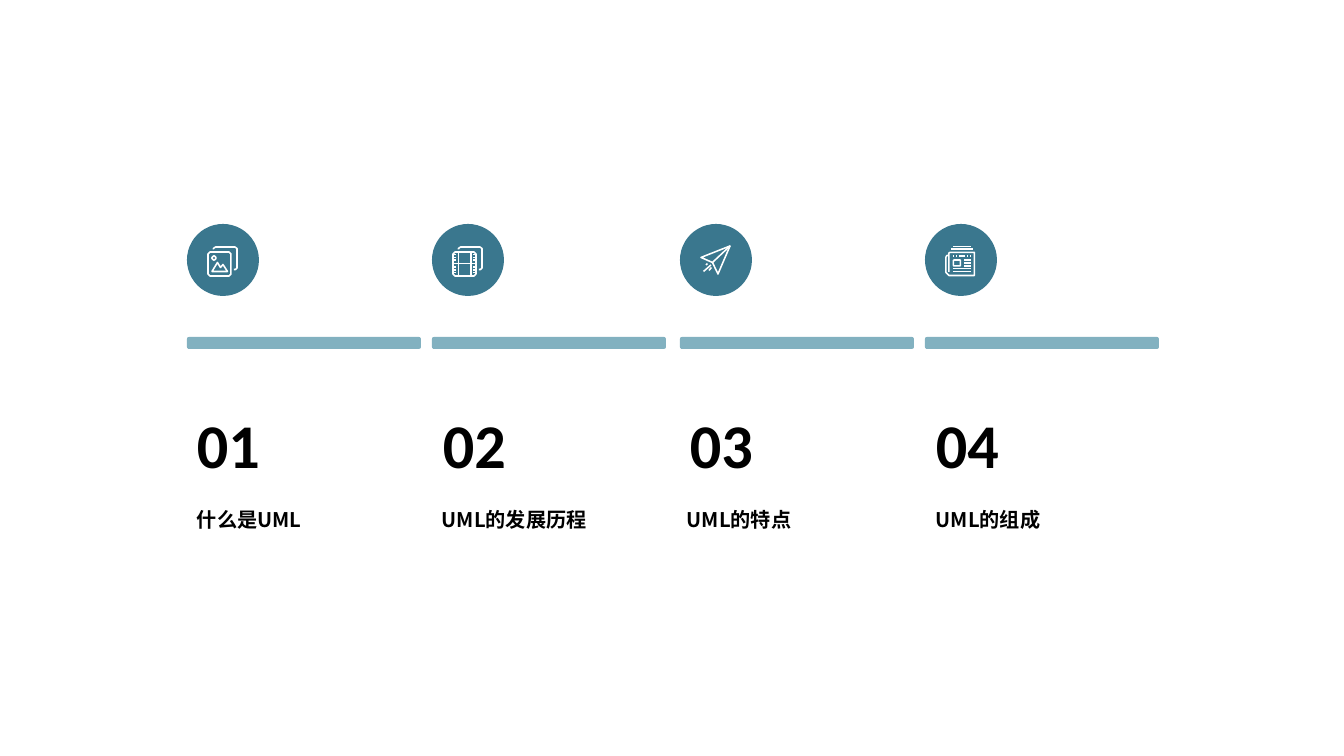
from lxml import etree
from pptx import Presentation
from pptx import util as u
from pptx.dml.color import RGBColor
from pptx.enum import shapes, text
from pptx.oxml import ns

PX = 914400 / 100.8
TEAL, PALE, WHITE, BLACK = "3A778E", "82B1C0", "FFFFFF", "000000"


def rgb(value):
    return RGBColor.from_string(value)


def rounded(left, top, right, bottom, cut):
    """Closed outline of a box with trimmed corners."""
    return [(left + cut, top), (right - cut, top), (right, top + cut),
            (right, bottom - cut), (right - cut, bottom), (left + cut, bottom),
            (left, bottom - cut), (left, top + cut), (left + cut, top)]


deck = Presentation()
deck.slide_width, deck.slide_height = u.Emu(round(1344 * PX)), u.Emu(round(756 * PX))
page = deck.slides.add_slide(deck.slide_layouts[6])

# Icon strokes, on a grid of half pixels
cards_behind = [
    [(13, 7), (13, 5), (17, 2), (56, 2), (60, 5), (60, 44), (57, 47), (54, 47)],
    rounded(2, 12, 48, 60, 4),
]
photo = cards_behind + [
    [(10, 51), (21, 33), (27, 43), (32, 37), (41, 51), (10, 51)],
    rounded(10, 20, 18, 28, 3),
]
film = cards_behind + [[(x, 12), (x, 60)] for x in (13, 38)] + [[(2, 35), (48, 35)]]
film += [[(x, y), (x + 4, y)] for x in (5, 42) for y in (17, 23, 28, 42, 48, 53)]
plane = [
    [(2, 25), (60, 2), (36, 58), (25, 35), (2, 25)],
    [(25, 35), (60, 2)],
    [(22, 40), (7, 53)], [(23, 45), (18, 51)], [(12, 40), (15, 37)],
]
newspaper = [
    [(8, 52), (8, 14), (10, 13), (59, 13), (59, 59), (8, 59),
     (2, 53), (2, 22), (4, 19), (8, 19)],
    rounded(17, 28, 31, 40, 1),
    [(17, 1), (53, 1)], [(13, 6), (57, 6)],
]
newspaper += [[(left, 20), (right, 20)] for left, right in
              ((16, 18), (22, 24), (28, 40), (45, 47), (51, 53))]
newspaper += [[(39, y), (52, y)] for y in (28, 34, 40)]
newspaper += [[(16, y), (52, y)] for y in (45, 51)]

# Column left, number left, label left, label, icon, icon top
columns = [
    (187, 187, 187, "什么是UML", photo, 246),
    (432, 433, 432, "UML的发展历程", film, 246),
    (680, 680, 677, "UML的特点", plane, 245),
    (925, 926, 926, "UML的组成", newspaper, 246),
]

for index, (left, number_left, label_left, label, icon, icon_top) in enumerate(columns, 1):
    # Bar and disc
    for top, width, height, color, corner in (
            (337, 234, 12, PALE, 0.17), (224, 72, 72, TEAL, 0.5)):
        box = page.shapes.add_shape(
            shapes.MSO_SHAPE.ROUNDED_RECTANGLE,
            *(round(n * PX) for n in (left, top, width, height)))
        box.adjustments[0] = corner
        box.shadow.inherit = False
        box.fill.solid()
        box.fill.fore_color.rgb = rgb(color)
        box.line.fill.background()

    # Icon
    builder = page.shapes.build_freeform(*icon[0][0], scale=PX / 2)
    for stroke in icon:
        builder.move_to(*stroke[0])
        builder.add_line_segments(stroke[1:], close=stroke[0] == stroke[-1])
    drawing = builder.convert_to_shape(round((left + 20) * PX), round(icon_top * PX))
    drawing.shadow.inherit = False
    drawing.fill.background()
    drawing.line.color.rgb = rgb(WHITE)
    drawing.line.width = u.Pt(1.1)

    # Number and label
    for words, place, anchor, spacing, style in (
            (f"{index:02}", (number_left, 394, 134, 92), text.MSO_ANCHOR.BOTTOM, 1.1,
             {"name": "Calibri", "size": u.Pt(44.4), "bold": True}),
            (label, (label_left, 495, 205, 37), text.MSO_ANCHOR.TOP, 1.3,
             {"name": "Noto Sans CJK SC", "size": u.Pt(14.4), "bold": True})):
        box = page.shapes.add_textbox(*(round(n * PX) for n in place))
        frame = box.text_frame
        frame.word_wrap = True
        frame.vertical_anchor = anchor
        para = frame.paragraphs[0]
        para.line_spacing = spacing
        span = para.add_run()
        span.text = words
        for key, value in style.items():
            setattr(span.font, key, value)
        span.font.color.rgb = rgb(BLACK)
        east_asian = etree.SubElement(span.font._element, ns.qn("a:ea"))
        east_asian.set("typeface", style["name"])

deck.save("out.pptx")
